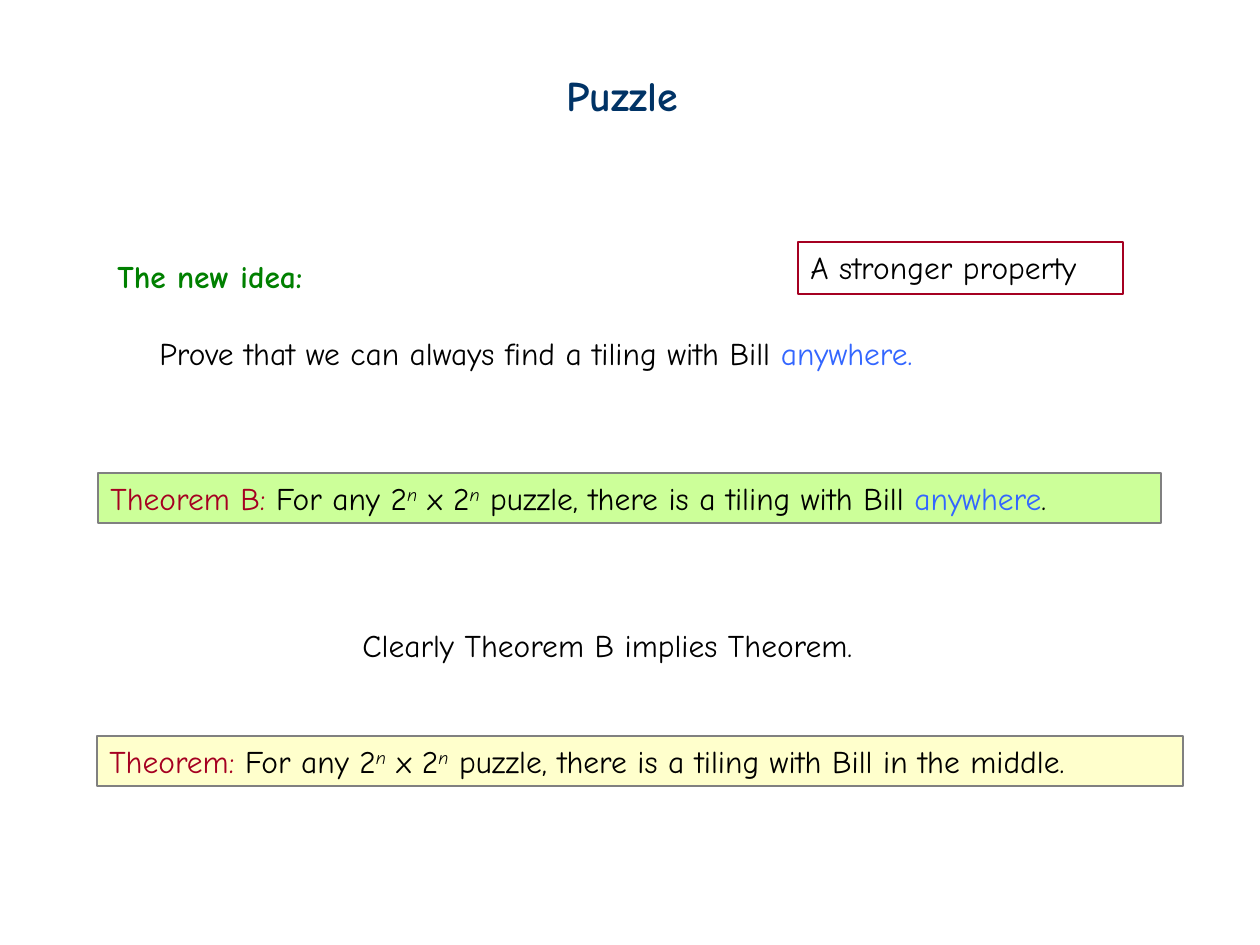
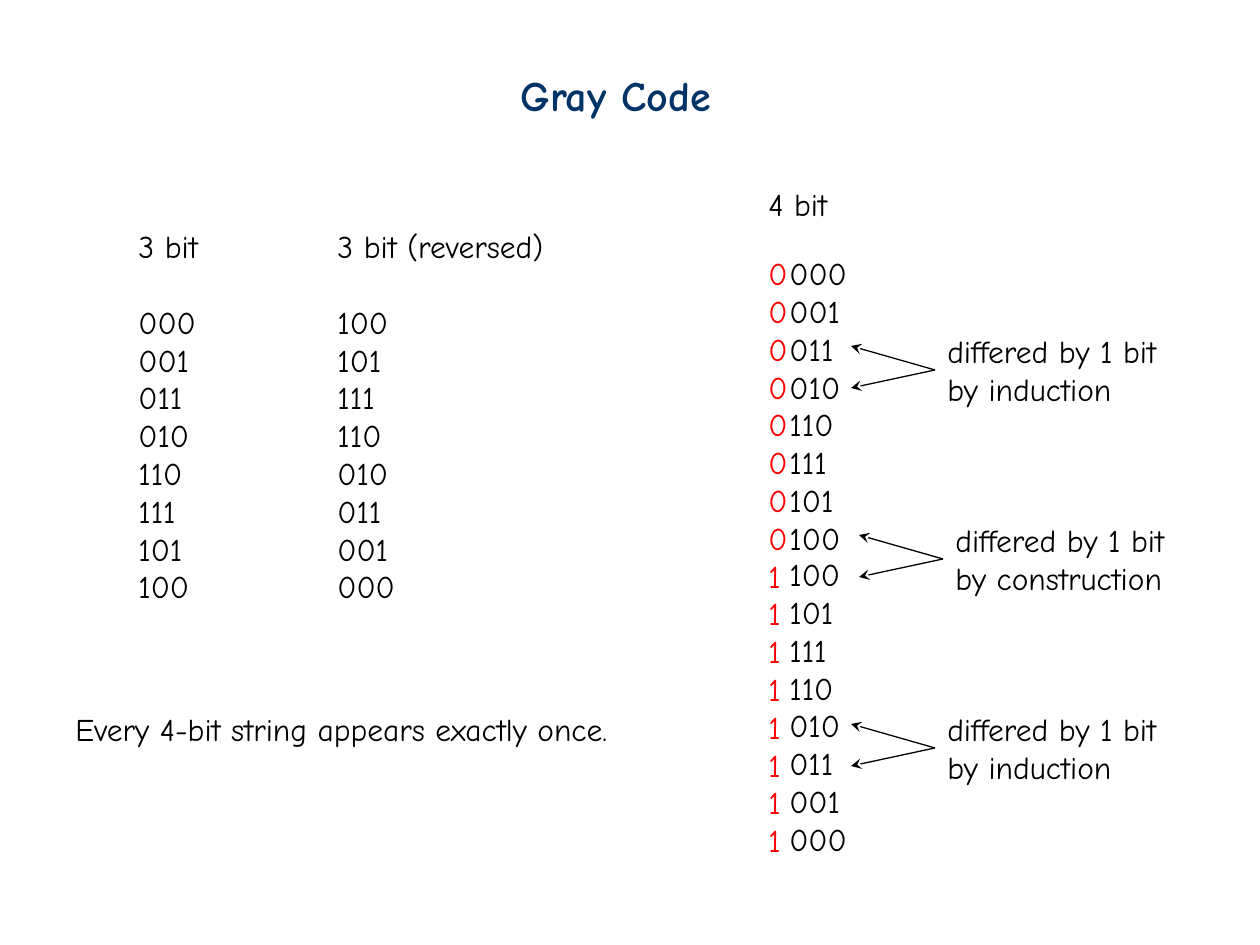
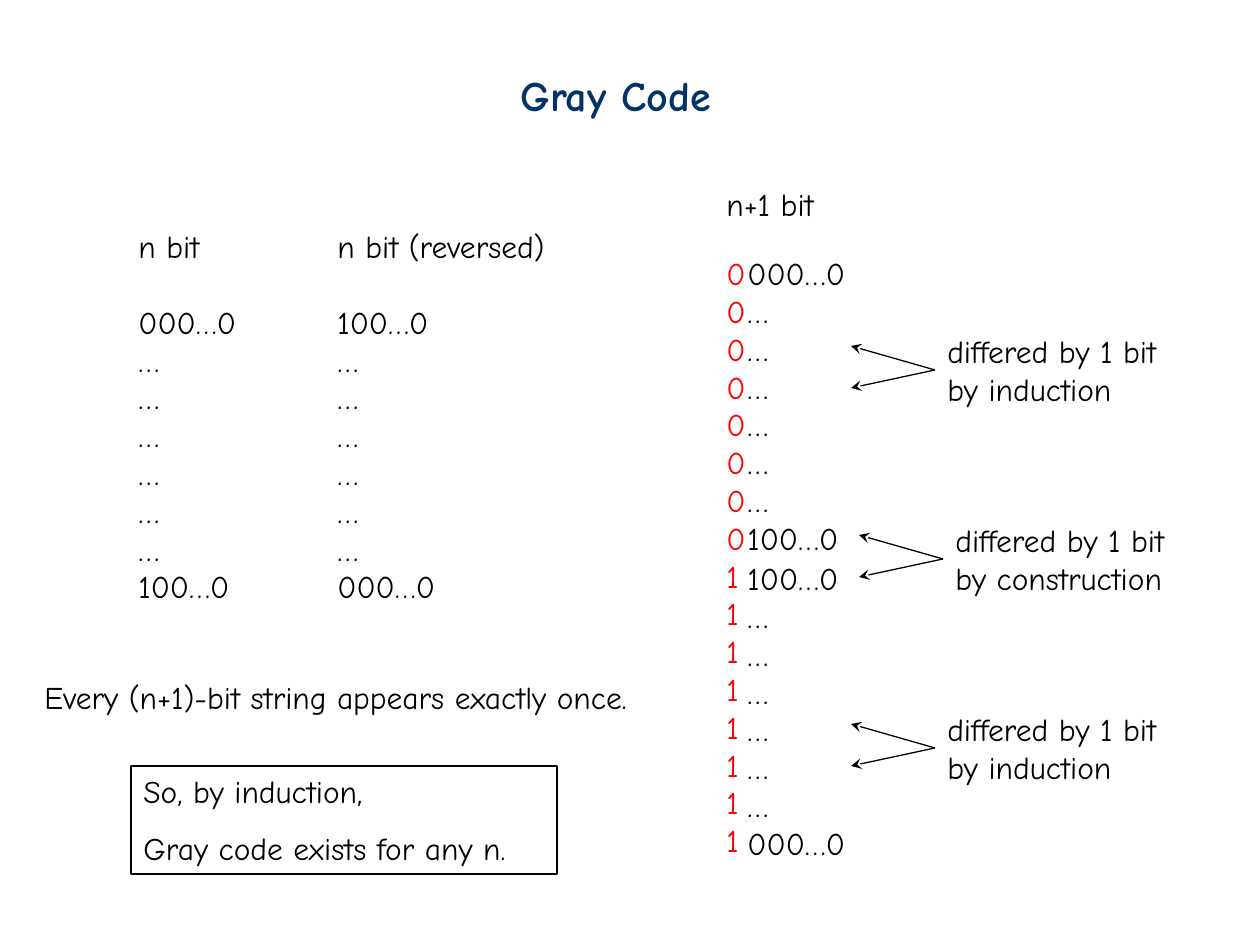
from pptx import Presentation
from pptx.dml.color import RGBColor
from pptx.enum.shapes import MSO_CONNECTOR, MSO_SHAPE
from pptx.enum.text import MSO_ANCHOR, MSO_AUTO_SIZE, PP_ALIGN
from pptx.util import Pt
from pptx.oxml.ns import qn
from lxml import etree

PX = 914400 / 126  # EMU per pixel
FONT = "Comic Neue"
LINE_HEIGHT = 21.6  # points, one line of 18 pt text
C = {
    "title": "003366", "text": "000000", "idea": "008000", "accent": "3366FF",
    "theorem": "A50021", "prefix": "FF0000", "border": "808080",
    "green": "CCFF99", "yellow": "FFFFCC",
}

prs = Presentation()
prs.slide_width, prs.slide_height = round(1260 * PX), round(945 * PX)


def write(sp, box, paras, size=18):
    """Place a shape; each paragraph is a list of (text, colour, style) runs."""
    sp.left, sp.top, sp.width, sp.height = [round(v * PX) for v in box]
    tf = sp.text_frame
    tf.word_wrap = True
    tf.auto_size = MSO_AUTO_SIZE.NONE
    tf.vertical_anchor = MSO_ANCHOR.TOP
    for i, runs in enumerate(paras):
        p = tf.paragraphs[0] if i == 0 else tf.add_paragraph()
        p.alignment = PP_ALIGN.LEFT
        for text, color, style in runs:
            r = p.add_run()
            r.text = text
            r.font.name, r.font.size = FONT, Pt(size)
            r.font.color.rgb = RGBColor.from_string(C[color])
            r.font.bold = style == "bold"
            if style == "power":
                r.font.italic = True
                r.font._element.set("baseline", "30000")
    return tf


def add_text(slide, box, paras, line=None, fill=None):
    """Add a text box, or a rectangle when a line colour is given."""
    if line is None:
        sp = slide.shapes.add_textbox(0, 0, 0, 0)
    else:
        sp = slide.shapes.add_shape(MSO_SHAPE.RECTANGLE, 0, 0, 0, 0)
        sp.shadow.inherit = False
        sp.line.color.rgb = RGBColor.from_string(C[line])
        sp.line.width = Pt(0.75)
        if fill:
            sp.fill.solid()
            sp.fill.fore_color.rgb = RGBColor.from_string(C[fill])
        else:
            sp.fill.background()
    # A plain string is one black run
    return write(sp, box, [[(p, "text", None)] if isinstance(p, str) else p for p in paras])


# Slides and titles
slides = []
for title, x, w in [("Puzzle", 554, 150), ("Gray Code", 508, 237), ("Gray Code", 508, 237)]:
    slide = prs.slides.add_slide(prs.slide_layouts[5])
    write(slide.shapes.title, (x, 63, w, 64), [[(title, "title", "bold")]], 24)
    slides.append(slide)

# Slide 1: the stronger theorem
s = slides[0]
add_text(s, (105, 251, 242, 50), [[("The new idea:", "idea", "bold")]])
add_text(s, (147, 328, 966, 50), [[
    ("Prove that we can always find a tiling with Bill ", "text", None),
    ("anywhere.", "accent", None)]])
add_text(s, (350, 620, 553, 50), ["Clearly Theorem B implies Theorem."])
add_text(s, (798, 242, 325, 52), ["A stronger property"], line="theorem")

theorems = [
    ("Theorem B:", (98, 473, 1063, 50), "green", " ",
     [("anywhere", "accent", None), (".", "text", None)]),
    ("Theorem:", (97, 736, 1086, 50), "yellow", " in the middle.", []),
]
for name, box, fill, ending, extra in theorems:
    add_text(s, box, [[
        (name, "theorem", None),
        (" For any 2", "text", None), ("n", "text", "power"),
        (" x 2", "text", None), ("n", "text", "power"),
        (" puzzle, there is a tiling with Bill" + ending, "text", None), *extra,
    ]], line="border", fill=fill)

# Slides 2 and 3: Gray code built from a list and its reverse
gray3 = ["000", "001", "011", "010", "110", "111", "101", "100"]
gray_n = ["000…0"] + ["…"] * 6 + ["100…0"]
cases = [
    # slide, size, next size, codes, prefix x, code x, code widths, second half y, statement
    (slides[1], "3 bit", "4 bit", gray3, 756, 777, (105, 116), 549,
     "Every 4-bit string appears exactly once.", (63, 704, 620, 50)),
    (slides[2], "n bit", "n+1 bit", gray_n, 714, 735, (199, 158), 553,
     "Every (n+1)-bit string appears exactly once.", (32, 672, 670, 50)),
]
notes = [(935, 326, "induction"), (943, 515, "construction"), (935, 704, "induction")]

for s, size, next_size, codes, prefix_x, code_x, widths, half_y, statement, statement_box in cases:
    backward = codes[::-1]

    # Smaller code, forward and reversed
    for x, w, head, column in [(126, 127, size, codes), (325, 262, size + " (reversed)", backward)]:
        tf = add_text(s, (x, 221, w, 394), [head, *column])
        tf.paragraphs[1].space_before = Pt(LINE_HEIGHT)

    # Larger code with its prefix bits
    add_text(s, (prefix_x, 179, 123, 50), [next_size])
    for y, w, column in [(248, widths[0], codes), (half_y, widths[1], backward)]:
        add_text(s, (code_x, y, w, 318), column)
    add_text(s, (prefix_x, 248, 45, 624), [[(bit, "prefix", None)] for bit in "0" * 8 + "1" * 8])

    # Notes, each with two arrows to neighbouring codes
    for x, y, reason in notes:
        add_text(s, (x, y, 275, 89), ["differed by 1 bit", "by " + reason])
        for dy in (20, 62):
            ends = [round(v * PX) for v in (x, y + 44, x - 84, y + dy)]
            arrow = s.shapes.add_connector(MSO_CONNECTOR.STRAIGHT, *ends)
            arrow.line.color.rgb = RGBColor.from_string(C["text"])
            arrow.line.width = Pt(0.75)
            etree.SubElement(arrow.line._get_or_add_ln(), qn("a:tailEnd"), type="stealth")
            etree.SubElement(arrow._element.spPr, qn("a:effectLst"))

    add_text(s, statement_box, [statement])

# Conclusion on slide 3
tf = add_text(slides[2], (131, 766, 426, 108),
              ["So, by induction,", "Gray code exists for any n."], line="text")
tf.paragraphs[1].line_spacing = 1.5

prs.save("out.pptx")
